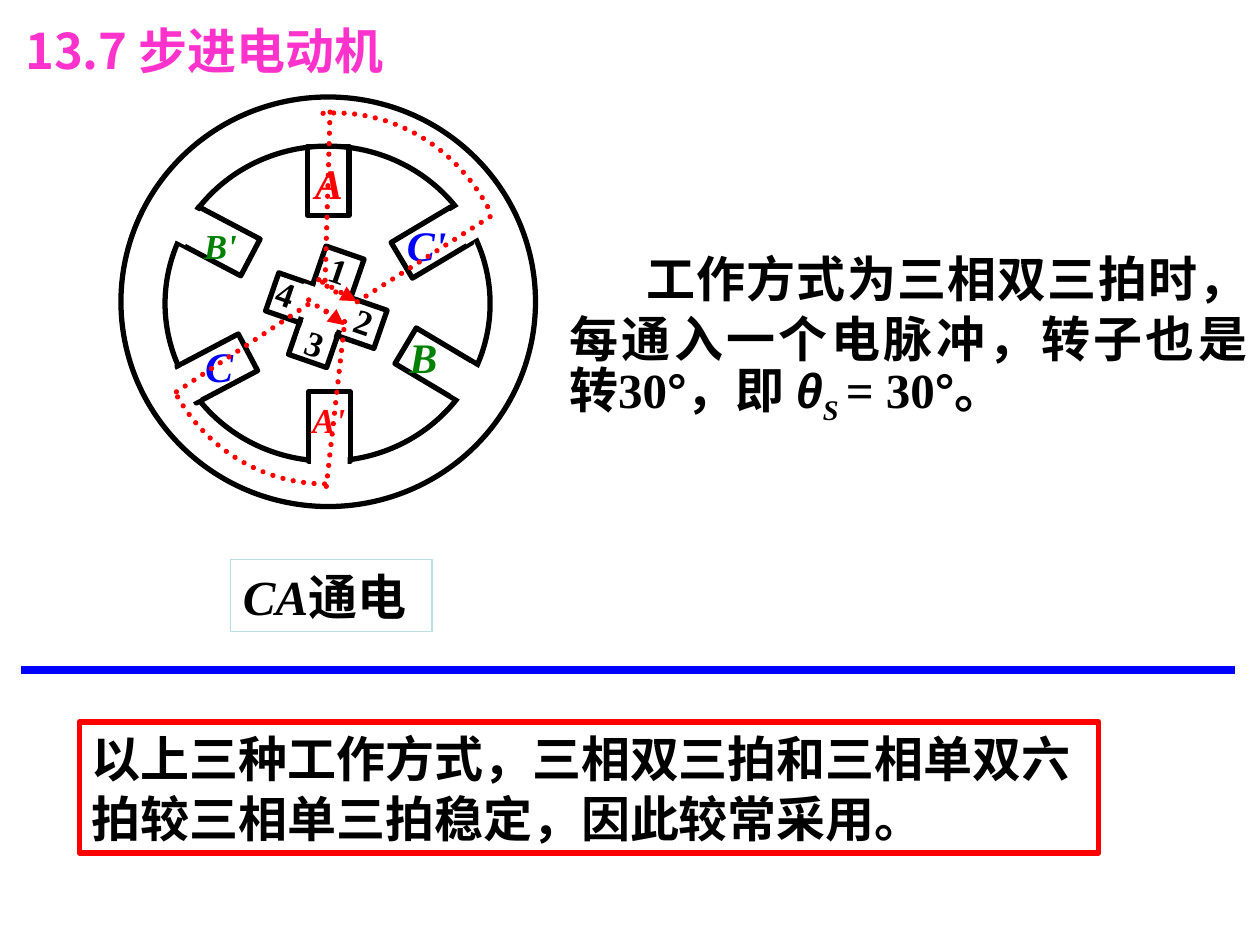
"""Build the slide on the stepper motor driven in three-phase double three-beat mode."""
from lxml import etree
from pptx import Presentation
from pptx.dml.color import RGBColor
from pptx.enum.dml import MSO_LINE
from pptx.enum.shapes import MSO_CONNECTOR, MSO_SHAPE
from pptx.enum.text import MSO_ANCHOR, MSO_AUTO_SIZE, PP_ALIGN
from pptx.oxml.ns import qn
from pptx.util import Pt

PX = 9144
RECTANGLE, OVAL = MSO_SHAPE.RECTANGLE, MSO_SHAPE.OVAL
STRAIGHT, ROUND_DOT = MSO_CONNECTOR.STRAIGHT, MSO_LINE.ROUND_DOT
TOP, NO_FIT = MSO_ANCHOR.TOP, MSO_AUTO_SIZE.NONE
LEFT, JUSTIFY = PP_ALIGN.LEFT, PP_ALIGN.JUSTIFY
SERIF, SANS, CJK = "Times New Roman", "Arial", "Noto Sans CJK SC"
BLACK, WHITE, RED, BLUE, GREEN = "000000", "FFFFFF", "FF0000", "0000FF", "008000"


def paint(target, color):
    """Give a fill, or the fill of a line or font, a solid colour."""
    target.solid()
    target.fore_color.rgb = RGBColor.from_string(color)


def write(shape, runs, size=28, color=BLACK, align=LEFT, wrap=True):
    """Write bold runs of (text, font, italic, baseline) as one paragraph."""
    frame = shape.text_frame
    frame.auto_size, frame.word_wrap, frame.vertical_anchor = NO_FIT, wrap, TOP
    paragraph = frame.paragraphs[0]
    paragraph.alignment = align
    if size == 28:
        paragraph.line_spacing = Pt(34)
    for text, font_name, italic, baseline in runs:
        run = paragraph.add_run()
        run.text = text
        run.font.size, run.font.name = Pt(size), font_name
        run.font.bold, run.font.italic = True, italic
        paint(run.font.fill, color)
        properties = run.font._element
        etree.SubElement(properties, qn("a:ea")).set("typeface", CJK)
        if baseline:
            properties.set("baseline", str(baseline))
    return paragraph


presentation = Presentation()
presentation.slide_width, presentation.slide_height = 1000 * PX, 750 * PX
slide = presentation.slides.add_slide(presentation.slide_layouts[5])
shapes = slide.shapes

title = shapes.title
title.left, title.top, title.width, title.height = (n * PX for n in (10, 11, 715, 57))
write(title, [("13.7 步进电动机", CJK, False, 0)], color="FF33CC")

explanation = shapes.add_textbox(442 * PX, 192 * PX, 558 * PX, 157 * PX)
paragraph = write(explanation, [
    ("工作方式为三相双三拍时，每通入一个电脉冲，转子也是转30", SERIF, False, 0),
    ("°", SANS, False, 0),
    ("，即 ", SERIF, False, 0),
    ("θ", SANS, True, 0),
    ("S ", SERIF, True, -25000),
    ("= 30", SERIF, False, 0),
    ("°", SANS, False, 0),
    ("。", SERIF, False, 0),
], align=JUSTIFY)
paragraph._p.get_or_add_pPr().set("indent", str(61 * PX))

conclusion = "以上三种工作方式，三相双三拍和三相单双六拍较三相单三拍稳定，因此较常采用。"
boxes = [
    (63, 573, 809, 104, RED, 3, [(conclusion, SERIF, False, 0)]),
    (183, 444, 160, 57, "BBE0E3", 0.75,
     [("CA", SERIF, True, 0), ("通电", SERIF, False, 0)]),
]
for x, y, width, height, color, weight, runs in boxes:
    box = shapes.add_shape(RECTANGLE, x * PX, y * PX, width * PX, height * PX)
    box.shadow.inherit = False
    box.fill.background()
    paint(box.line.fill, color)
    box.line.width = Pt(weight)
    write(box, runs)

stator = [
    (OVAL, 131, 116, 258, 250, 0, None, BLACK),
    (OVAL, 96, 77, 329, 325, 0, None, BLACK),
]
poles = [
    (244, 116, 0, None),
    (245, 311, 0, (247, 362)),
    (326, 165, 239.2, (358, 164)),
    (158, 164, 297.8, (129, 165)),
    (329, 261, 120.8, (361, 295)),
    (156, 265, 62.2, (128, 297)),
]
for x, y, angle, opening in poles:
    stator.append((RECTANGLE, x, y, 33, 55, angle, None, BLACK))
    if opening:
        stator.append((RECTANGLE, *opening, 29, 23, angle, WHITE, None))
rotor = [
    (RECTANGLE, 243, 198, 32, 91, 19.1, None, BLACK),
    (RECTANGLE, 243, 201, 32, 91, 289.1, None, BLACK),
    (RECTANGLE, 243, 225, 27, 50, 19.1, WHITE, None),
    (RECTANGLE, 236, 232, 45, 25, 19.1, WHITE, WHITE),
]
for kind, x, y, width, height, angle, fill, line in stator + rotor:
    part = shapes.add_shape(kind, x * PX, y * PX, width * PX, height * PX)
    part.shadow.inherit = False
    part.rotation = angle
    if fill:
        paint(part.fill, fill)
    else:
        part.fill.background()
    if line:
        paint(part.line.fill, line)
        part.line.width = Pt(0.75 if line == WHITE else 3)
    else:
        part.line.fill.background()

labels = [
    ("C", 153, 265, 59, 50, 24, BLUE),
    ("A'", 238, 311, 46, 44, 20, RED),
    ("B", 315, 258, 42, 50, 24, GREEN),
    ("B'", 152, 173, 46, 44, 20, GREEN),
    ("C'", 313, 169, 51, 50, 24, BLUE),
    ("A", 240, 120, 42, 50, 24, RED),
    ("3", 233, 251, 36, 44, 20, BLACK),
    ("4", 210, 211, 34, 44, 20, BLACK),
    ("1", 252, 193, 34, 44, 20, BLACK),
    ("2", 272, 233, 34, 44, 20, BLACK),
]
for text, x, y, width, height, size, color in labels:
    label = shapes.add_textbox(x * PX, y * PX, width * PX, height * PX)
    on_rotor = text.isdigit()
    label.rotation = 19.1 if on_rotor else 0
    write(label, [(text, SERIF, not on_rotor, 0)], size, color, wrap=text in "C3")

dotted = []
arcs = [
    ((253, 222), (261, 229), (271, 235), (281, 239)),
    ((387, 164), (360, 115), (310, 86), (256, 90)),
    ((245, 238), (254, 245), (264, 251), (275, 256)),
    ((141, 315), (167, 360), (214, 386), (264, 384)),
]
STEPS = 24
for curve in arcs:
    points = []
    for step in range(STEPS + 1):
        t = step / STEPS
        weights = ((1 - t) ** 3, 3 * t * (1 - t) ** 2, 3 * t * t * (1 - t), t ** 3)
        points.append(tuple(
            round(PX * sum(w * point[axis] for w, point in zip(weights, curve)))
            for axis in (0, 1)))
    builder = shapes.build_freeform(*points[0])
    builder.add_line_segments(points[1:], close=False)
    arc = builder.convert_to_shape()
    arc.shadow.inherit = False
    arc.fill.background()
    dotted.append(arc)

lines = [
    (17, 532, 980, 532, BLUE, False),
    (389, 172, 278, 243, RED, False),
    (262, 89, 258, 224, RED, False),
    (256, 224, 283, 239, RED, True),
    (140, 311, 247, 240, RED, False),
    (259, 386, 273, 261, RED, False),
    (259, 247, 273, 258, RED, True),
]
for x1, y1, x2, y2, color, arrow in lines:
    connector = shapes.add_connector(STRAIGHT, x1 * PX, y1 * PX, x2 * PX, y2 * PX)
    etree.SubElement(connector._element.spPr, qn("a:effectLst"))
    if color == RED:
        dotted.append(connector)
    else:
        paint(connector.line.fill, color)
        connector.line.width = Pt(4.5)
    if arrow:
        etree.SubElement(connector.line._get_or_add_ln(), qn("a:tailEnd")).set("type", "triangle")

for shape in dotted:
    paint(shape.line.fill, RED)
    shape.line.width = Pt(3)
    shape.line.dash_style = ROUND_DOT
    shape.line._get_or_add_ln().set("cap", "rnd")

presentation.save("out.pptx")
